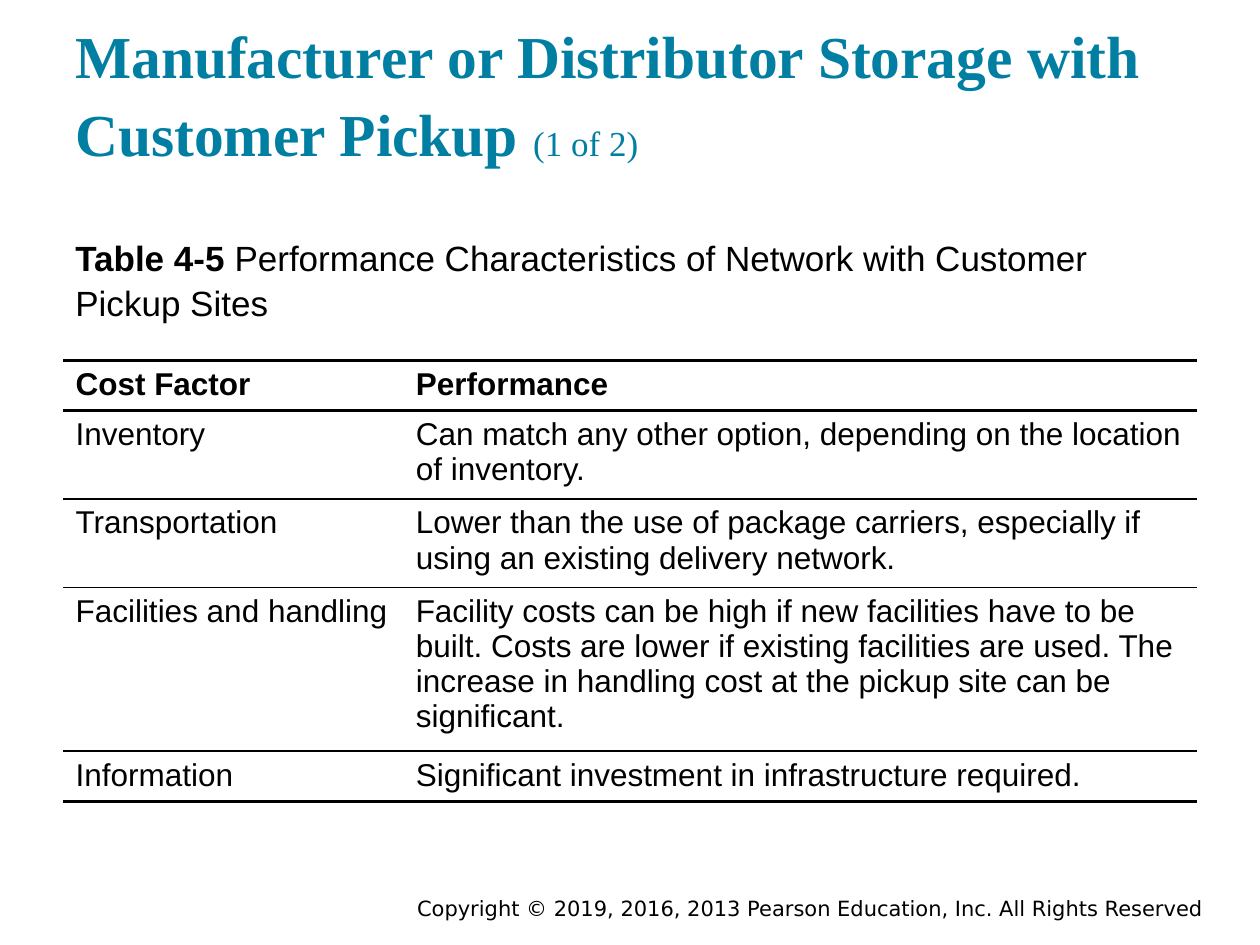
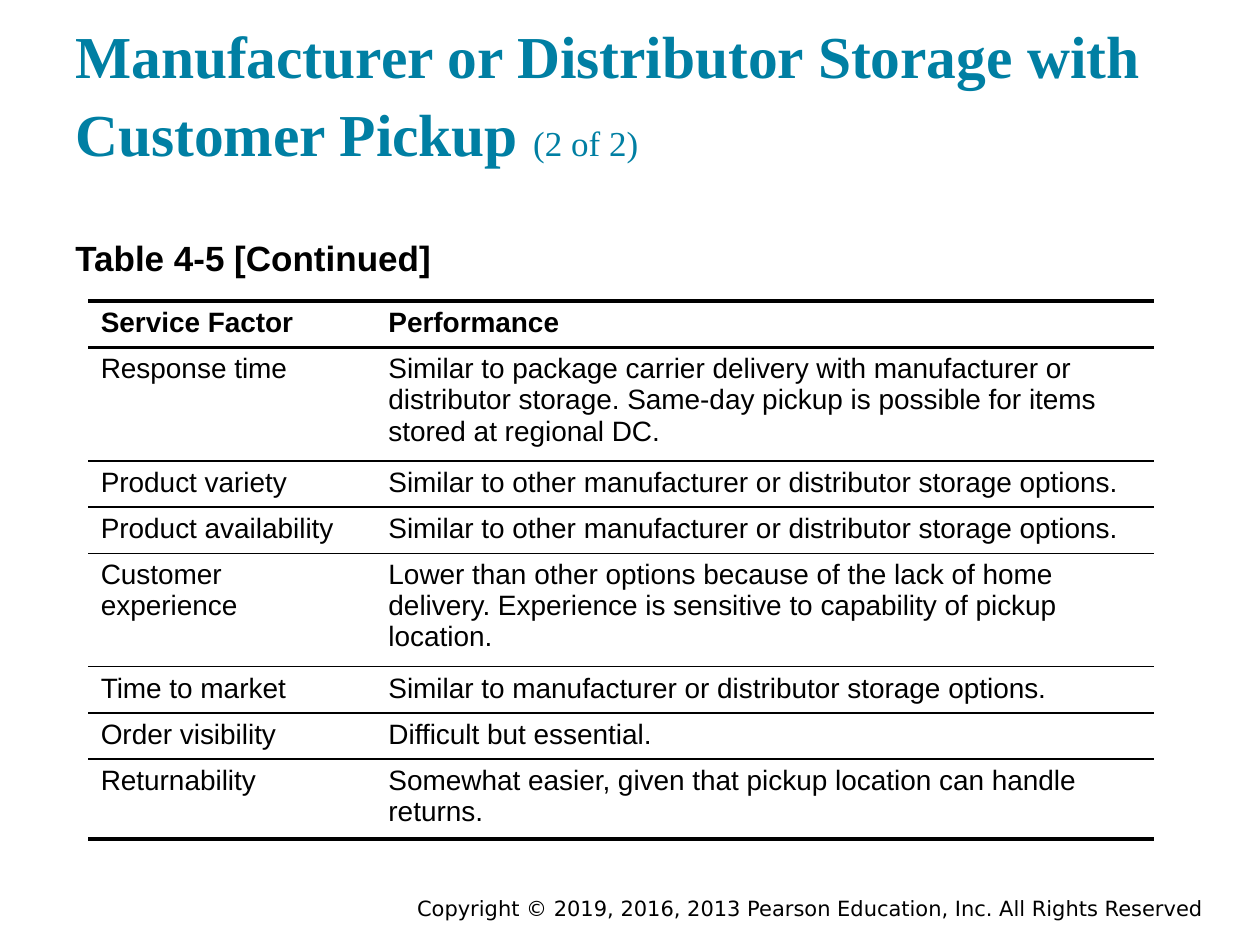
from lxml import etree
from pptx import Presentation
from pptx.dml.color import RGBColor
from pptx.enum.text import MSO_ANCHOR, PP_ALIGN
from pptx.oxml.ns import qn
from pptx.util import Pt

TOP, MIDDLE, BOTTOM = MSO_ANCHOR.TOP, MSO_ANCHOR.MIDDLE, MSO_ANCHOR.BOTTOM
LEFT, RIGHT = PP_ALIGN.LEFT, PP_ALIGN.RIGHT
BLACK, WHITE, TEAL = "000000", "FFFFFF", "007FA3"
THICK, THIN = 2.25, 1
TITLE = "Manufacturer or Distributor Storage with Customer Pickup "
FOOTER = "Copyright © 2019, 2016, 2013 Pearson Education, Inc. All Rights Reserved"

PAGES = [
    {
        "part": "(1 of 2)",
        "caption": [
            ("Table 4-5 ", 20, True),
            ("Performance Characteristics of Network with Customer Pickup Sites", 20, False),
        ],
        "place": (36, 205.9),
        "columns": (194.4, 453.6),
        "size": 18,
        "heights": (27.4, 47.4, 47.4, 88, 27.4),
        "rows": [
            ("Cost Factor", "Performance"),
            ("Inventory", "Can match any other option, depending on the location of inventory."),
            ("Transportation", "Lower than the use of package carriers, especially if using an "
             "existing delivery network."),
            ("Facilities and handling", "Facility costs can be high if new facilities have to be "
             "built. Costs are lower if existing facilities are used. The increase in handling "
             "cost at the pickup site can be significant."),
            ("Information", "Significant investment in infrastructure required."),
        ],
    },
    {
        "part": "(2 of 2)",
        "caption": [("Table 4-5 [Continued]", 20, True)],
        "place": (50.4, 172.1),
        "columns": (164.4, 444.8),
        "size": 16,
        "heights": (26.3, 60.6, 26.3, 26.3, 60.6, 26.3, 26.3, 42.9),
        "rows": [
            ("Service Factor", "Performance"),
            ("Response time", "Similar to package carrier delivery with manufacturer or "
             "distributor storage. Same-day pickup is possible for items stored at regional DC."),
            ("Product variety", "Similar to other manufacturer or distributor storage options."),
            ("Product availability",
             "Similar to other manufacturer or distributor storage options."),
            ("Customer experience", "Lower than other options because of the lack of home "
             "delivery. Experience is sensitive to capability of pickup location."),
            ("Time to market", "Similar to manufacturer or distributor storage options."),
            ("Order visibility", "Difficult but essential."),
            ("Returnability", "Somewhat easier, given that pickup location can handle returns."),
        ],
    },
]


def write(frame, spans, font="Arial", color=BLACK, align=LEFT, anchor=TOP, spacing=1.0, inset=3.6):
    frame.word_wrap = True
    frame.vertical_anchor = anchor
    frame.margin_left = frame.margin_right = Pt(7.2)
    frame.margin_top = frame.margin_bottom = Pt(inset)
    para = frame.paragraphs[0]
    para.alignment = align
    para.line_spacing = spacing
    for text, size, bold in spans:
        span = para.add_run()
        span.text = text
        span.font.name = font
        span.font.size = Pt(size)
        span.font.bold = bold
        span.font.color.rgb = RGBColor.from_string(color)


def set_borders(cell, above, below):
    properties = cell._tc.get_or_add_tcPr()
    for side, width in (("L", 0), ("R", 0), ("T", above), ("B", below)):
        line = etree.SubElement(properties, qn(f"a:ln{side}"), w=str(Pt(width)))
        if width:
            fill = etree.SubElement(line, qn("a:solidFill"))
            etree.SubElement(fill, qn("a:srgbClr"), val=BLACK)
        else:
            etree.SubElement(line, qn("a:noFill"))


deck = Presentation()
deck.slide_width, deck.slide_height = Pt(720), Pt(540)

for content in PAGES:
    page = deck.slides.add_slide(deck.slide_layouts[6])

    footer = page.shapes.add_textbox(Pt(216), Pt(509.8), Pt(478.8), Pt(18))
    write(footer.text_frame, [(FOOTER, 12, False)], font="DejaVu Sans", align=RIGHT, anchor=MIDDLE)

    title = page.shapes.add_textbox(Pt(36), Pt(6.5), Pt(648), Pt(97.2))
    write(title.text_frame, [(TITLE, 34, True), (content["part"], 20, False)],
          font="Times New Roman", color=TEAL, anchor=BOTTOM, spacing=1.1, inset=7.2)

    caption = page.shapes.add_textbox(Pt(36), Pt(126), Pt(648), Pt(57))
    write(caption.text_frame, content["caption"], spacing=1.08, inset=7.2)

    rows, columns, heights = content["rows"], content["columns"], content["heights"]
    left, top = content["place"]
    table = page.shapes.add_table(len(rows), len(columns), Pt(left), Pt(top),
                                  Pt(sum(columns)), Pt(sum(heights))).table
    table.first_row = table.horz_banding = False
    for column, width in zip(table.columns, columns):
        column.width = Pt(width)
    rules = [THICK, THICK] + [THIN] * (len(rows) - 2) + [THICK]
    for index, texts in enumerate(rows):
        table.rows[index].height = Pt(heights[index])
        for cell, text in zip(table.rows[index].cells, texts):
            set_borders(cell, rules[index], rules[index + 1])
            cell.fill.solid()
            cell.fill.fore_color.rgb = RGBColor.from_string(WHITE)
            write(cell.text_frame, [(text, content["size"], index == 0)])

deck.save("out.pptx")
